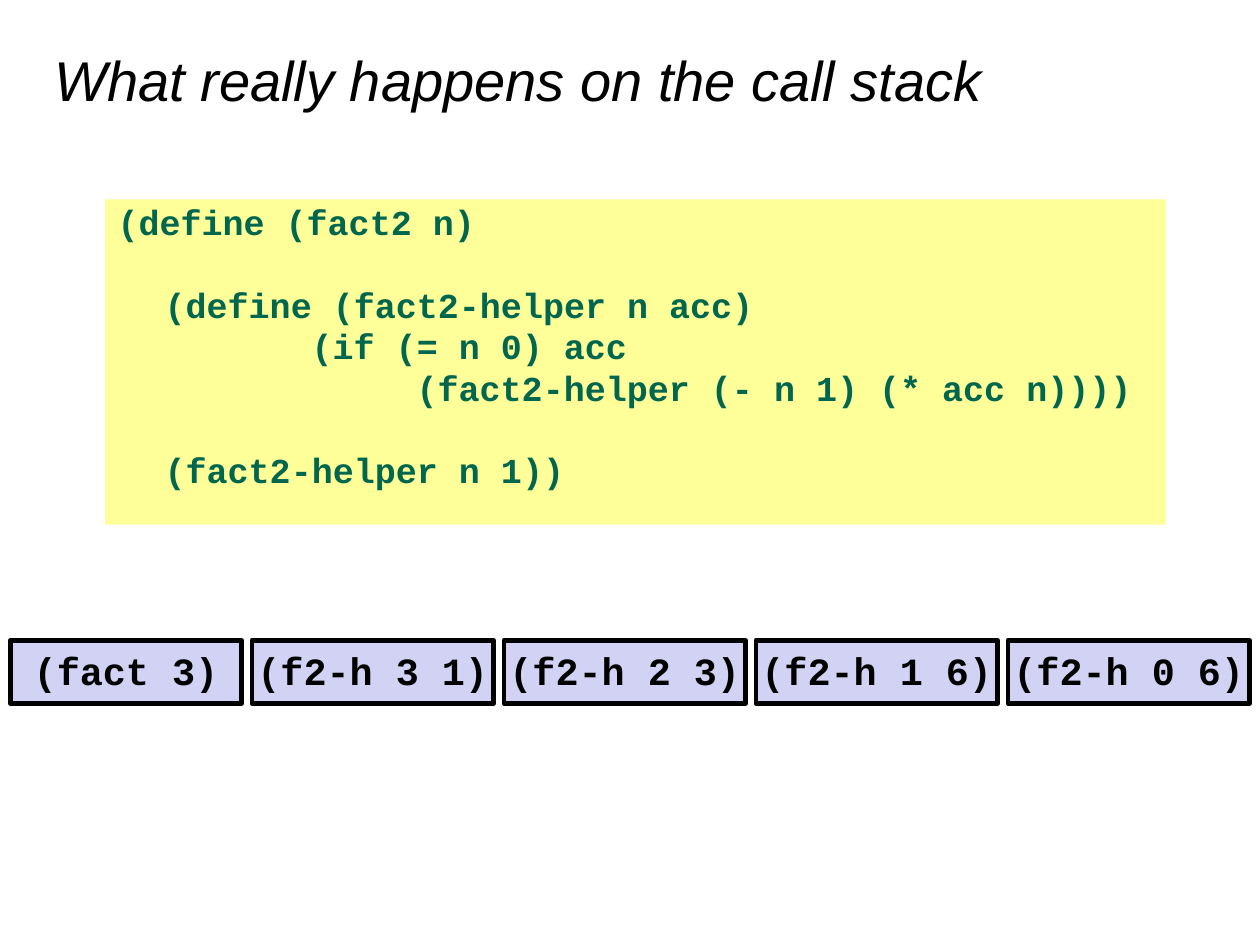
import pptx
import pptx.dml.color
import pptx.enum.shapes
import pptx.enum.text
import pptx.util

Cm = pptx.util.Cm
Pt = pptx.util.Pt
COLOURS = {"ink": "000000", "code": "00664D", "paper": "FFFF99", "frame": "D2D2F4"}
CODE_LINES = [
    ("(define (fact2 n)", 0),
    ("\t(define (fact2-helper n acc)", 25.6),
    ("\t\t (if (= n 0) acc", 2),
    ("\t\t\t(fact2-helper (- n 1) (* acc n))))", 2),
    ("\t(fact2-helper n 1))", 25.6),
]
CALLS = ["(fact 3)", "(f2-h 3 1)", "(f2-h 2 3)", "(f2-h 1 6)", "(f2-h 0 6)"]


class CallStackSlide:
    """Holds the style and the current slide, and draws each kind of element."""

    def __init__(self, presentation):
        self.slide = presentation.slides.add_slide(presentation.slide_layouts[6])
        self.title_font = "Arial"
        self.code_font = "Courier New"

    def colour(self, name):
        return pptx.dml.color.RGBColor.from_string(COLOURS[name])

    def set_font(self, paragraph, name, size, colour, bold=False, italic=False):
        font = paragraph.font
        font.name, font.size = name, Pt(size)
        font.bold, font.italic = bold, italic
        font.color.rgb = self.colour(colour)

    def title(self, text, left, top, width, height):
        shape = self.slide.shapes.add_textbox(Cm(left), Cm(top), Cm(width), Cm(height))
        frame = shape.text_frame
        frame.word_wrap = True
        frame.vertical_anchor = pptx.enum.text.MSO_ANCHOR.MIDDLE
        paragraph = frame.paragraphs[0]
        paragraph.text = text
        self.set_font(paragraph, self.title_font, 32, "ink", italic=True)

    def rectangle(self, left, top, width, height, fill):
        shape = self.slide.shapes.add_shape(
            pptx.enum.shapes.MSO_SHAPE.RECTANGLE, Cm(left), Cm(top), Cm(width), Cm(height))
        shape.shadow.inherit = False
        shape.fill.solid()
        shape.fill.fore_color.rgb = self.colour(fill)
        shape.text_frame.vertical_anchor = pptx.enum.text.MSO_ANCHOR.TOP
        return shape

    def call(self, text, left, top, width, height):
        shape = self.rectangle(left, top, width, height, "frame")
        shape.line.color.rgb = self.colour("ink")
        shape.line.width = Pt(2.75)
        frame = shape.text_frame
        frame.word_wrap = False
        frame.margin_left = frame.margin_right = 0
        paragraph = frame.paragraphs[0]
        paragraph.text = text
        paragraph.alignment = pptx.enum.text.PP_ALIGN.CENTER
        self.set_font(paragraph, self.code_font, 22, "ink", bold=True)

    def code(self, lines, left, top, width, height):
        shape = self.rectangle(left, top, width, height, "paper")
        shape.line.fill.background()
        frame = shape.text_frame
        frame.word_wrap = True
        for index, (text, space_before) in enumerate(lines):
            paragraph = frame.add_paragraph() if index else frame.paragraphs[0]
            paragraph.text = text
            paragraph.alignment = pptx.enum.text.PP_ALIGN.LEFT
            paragraph.line_spacing = 0.9
            paragraph.space_before = Pt(space_before)
            properties = paragraph._p.get_or_add_pPr()
            properties.set("marL", str(Cm(0.95)))
            properties.set("indent", str(Cm(-0.95)))
            properties.set("defTabSz", str(Cm(2.54)))
            self.set_font(paragraph, self.code_font, 20, "code", bold=True)


def main():
    presentation = pptx.Presentation()
    presentation.slide_width, presentation.slide_height = Cm(25.4), Cm(19.05)
    slide = CallStackSlide(presentation)
    slide.title("What really happens on the call stack", 0.85, 0.85, 23.7, 1.48)
    pitch, gap, first_left = 5.08, 0.21, 0.21
    for index, text in enumerate(CALLS):
        left = max(first_left, index * pitch)
        slide.call(text, left, 12.91, (index + 1) * pitch - gap - left, 1.27)
    slide.code(CODE_LINES, 2.12, 4.02, 21.38, 6.56)
    presentation.save("out.pptx")


if __name__ == "__main__":
    main()
